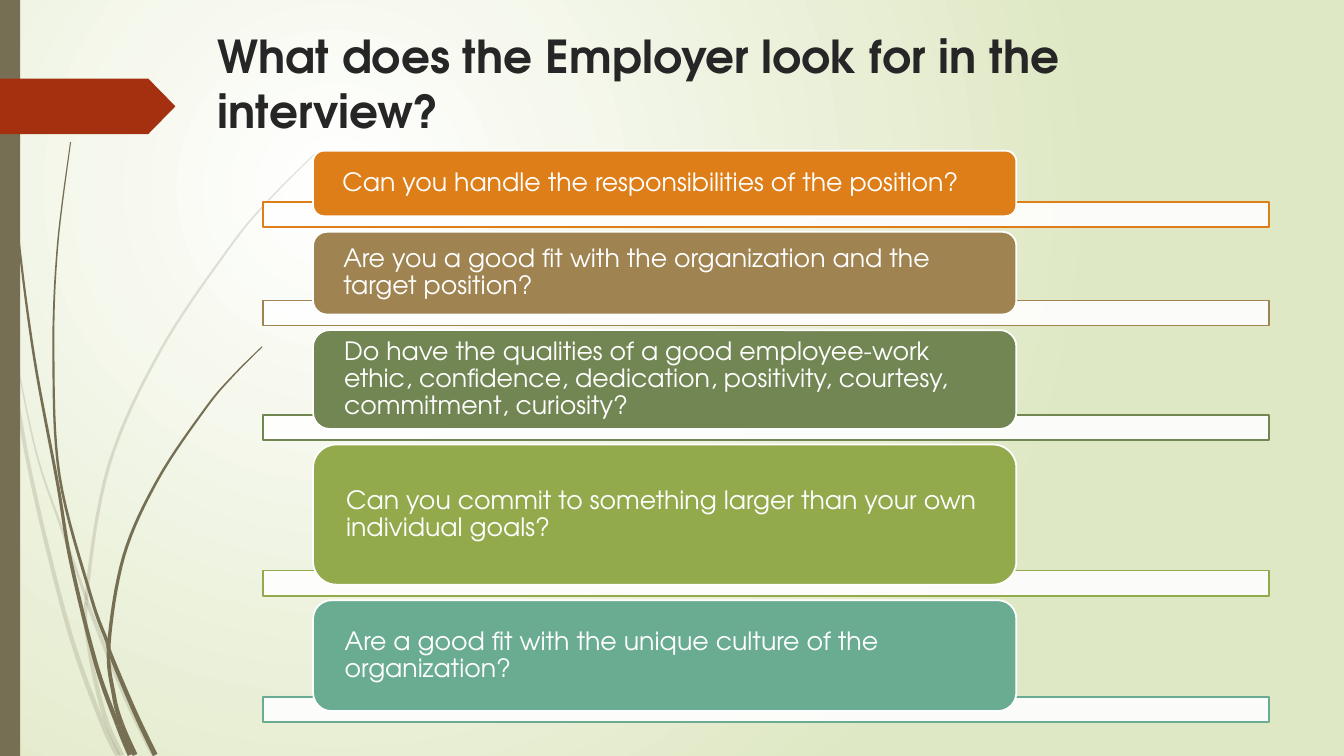
from dataclasses import dataclass
from math import hypot

from lxml import etree
from pptx import Presentation
from pptx.dml.fill import FillFormat
from pptx.dml.color import RGBColor
from pptx.enum.shapes import MSO_SHAPE
from pptx.enum.text import MSO_ANCHOR, MSO_AUTO_SIZE, PP_ALIGN
from pptx.oxml.ns import qn
from pptx.shapes.autoshape import Shape
from pptx.slide import Slide
from pptx.text.text import TextFrame
from pptx.util import Inches, Pt

RECTANGLE = MSO_SHAPE.RECTANGLE
ROUNDED = MSO_SHAPE.ROUNDED_RECTANGLE
ARROW_TAG = MSO_SHAPE.PENTAGON
TOP, MIDDLE = MSO_ANCHOR.TOP, MSO_ANCHOR.MIDDLE
LEFT = PP_ALIGN.LEFT
NO_AUTOFIT = MSO_AUTO_SIZE.NONE

COLUMNS, ROWS = 1333, 750
CELL = Inches(0.01)
FONT = "TeX Gyre Adventor"
WHITE, INK, BARK, RUST, MEADOW = "FFFFFF", "262626", "766F54", "A53010", "DFE8C4"

CARDS_TOP, CARD_GAP = 149.5, 15.5
CARD_LEFT, CARD_WIDTH = 310.5, 697.5
STRIP_LEFT, STRIP_WIDTH, STRIP_HEIGHT = 261, 997.5, 25
STRIP_OVERLAP = 14
CURVE_STEPS = 8


@dataclass(frozen=True)
class Question:
    wording: str
    color: str
    rows: int


@dataclass(frozen=True)
class Stem:
    spine: tuple[tuple[float, float], ...]
    joints: tuple[int, ...]
    tip: float
    base: float
    opacity: int


QUESTIONS = (
    Question("Can you handle the responsibilities of the position?", "DE7E18", 65),
    Question("Are you a good fit with the organization and the target position?", "9F8351", 82),
    Question("Do have the qualities of a good employee-work ethic, confidence, dedication, "
             "positivity, courtesy, commitment, curiosity?", "728653", 98),
    Question("Can you commit to something larger than your own individual goals?", "92AA4C", 139),
    Question("Are a good fit with the unique culture of the organization?", "6AAC91", 110),
)

STEMS = (
    Stem(((2, 285), (10, 349), (30, 469), (67, 620), (100, 714), (117, 750)),
         (1, 4), 3, 5, 20),
    Stem(((14, 345), (36, 449), (60, 521), (85, 592), (89, 604), (125, 693), (153, 750)),
         (3, 4), 1, 5, 20),
    Stem(((312, 153), (268, 197), (228, 245), (159, 348), (108, 462), (86, 590),
          (89, 646), (104, 711), (121, 750)), (5, 7), 1, 5, 20),
    Stem(((4, 0), (7, 110), (18, 233), (34, 355), (57, 479), (70, 556), (95, 658),
          (117, 720), (129, 749)), (4, 7), 1, 5, 100),
    Stem(((70, 141), (57, 245), (53, 349), (59, 472), (90, 591), (106, 636),
          (110, 650), (134, 707), (154, 749)), (3, 5, 6), 1, 5, 100),
    Stem(((260, 344), (231, 373), (204, 405), (157, 475), (123, 551), (108, 640),
          (113, 690), (121, 719), (134, 749)), (5, 7), 1, 5, 100),
)


def paint(fill: FillFormat, color: str, opacity: int = 100) -> None:
    fill.solid()
    fill.fore_color.rgb = RGBColor.from_string(color)
    if opacity < 100:
        tint = fill._xPr.find(".//" + qn("a:srgbClr"))
        etree.SubElement(tint, qn("a:alpha"), val=str(opacity * 1000))


def paint_background(slide: Slide) -> None:
    fill = slide.background.fill
    fill.gradient()
    for stop, color, position in zip(fill.gradient_stops, (WHITE, MEADOW), (0, 1)):
        stop.color.rgb = RGBColor.from_string(color)
        stop.position = position
    gradient = slide.element.find(".//" + qn("a:gradFill"))
    gradient.remove(gradient.find(qn("a:lin")))
    glow = etree.SubElement(gradient, qn("a:path"), {"path": "circle"})
    etree.SubElement(glow, qn("a:fillToRect"), l="50000", t="50000", r="100000", b="100000")


def add_block(slide: Slide, kind: MSO_SHAPE, left: float, top: float, width: float,
              height: float, color: str, opacity: int = 100, border: str = "") -> Shape:
    block = slide.shapes.add_shape(kind, *(round(n * CELL) for n in (left, top, width, height)))
    block.shadow.inherit = False
    paint(block.fill, color, opacity)
    if border:
        paint(block.line.fill, border)
        block.line.width = Pt(1.25)
    else:
        block.line.fill.background()
    return block


def write(frame: TextFrame, wording: str, size: float, color: str, bold: bool = False) -> None:
    frame.word_wrap = True
    frame.auto_size = NO_AUTOFIT
    paragraph = frame.paragraphs[0]
    paragraph.alignment = LEFT
    run = paragraph.add_run()
    run.text = wording
    run.font.name, run.font.size, run.font.bold = FONT, Pt(size), bold
    paint(run.font.fill, color)


def smooth_curve(spine: tuple[tuple[float, float], ...]) -> list[tuple[float, float]]:
    knots = (spine[0], *spine, spine[-1])
    curve = []
    for a, b, c, d in zip(knots, knots[1:], knots[2:], knots[3:]):
        for step in range(CURVE_STEPS):
            t = step / CURVE_STEPS
            curve.append(tuple(
                q + t * ((r - p) + t * ((2 * p - 5 * q + 4 * r - s)
                                        + t * (3 * q - p - 3 * r + s))) / 2
                for p, q, r, s in zip(a, b, c, d)))
    return [*curve, spine[-1]]


def add_stem(slide: Slide, stem: Stem) -> None:
    curve = smooth_curve(stem.spine)
    last = len(curve) - 1
    right_edge, left_edge = [], []
    for i, (x, y) in enumerate(curve):
        (x0, y0), (x1, y1) = curve[max(i - 1, 0)], curve[min(i + 1, last)]
        half = (stem.tip + (stem.base - stem.tip) * i / last) / 2 / hypot(x1 - x0, y1 - y0)
        for edge, side in ((right_edge, half), (left_edge, -half)):
            row = min(max(y - side * (x1 - x0), 0), ROWS)
            edge.append((round((x + side * (y1 - y0)) * CELL), round(row * CELL)))
    cuts = [0, *(joint * CURVE_STEPS for joint in stem.joints), last]
    for first, end in zip(cuts, cuts[1:]):
        start, *rest = right_edge[first:end + 1] + left_edge[first:end + 1][::-1]
        builder = slide.shapes.build_freeform(*start)
        builder.add_line_segments(rest, close=True)
        blade = builder.convert_to_shape()
        blade.shadow.inherit = False
        paint(blade.fill, BARK, stem.opacity)
        blade.line.fill.background()


def add_title(slide: Slide) -> None:
    title = slide.shapes.title
    title.left, title.top, title.width, title.height = (n * CELL for n in (206, 23, 1052, 79))
    title.text_frame.vertical_anchor = TOP
    write(title.text_frame, "What does the Employer look for in the interview?", 32.4, INK, True)


def add_question(slide: Slide, question: Question, top: float) -> None:
    add_block(slide, RECTANGLE, STRIP_LEFT, top + question.rows - STRIP_OVERLAP,
              STRIP_WIDTH, STRIP_HEIGHT, WHITE, 90, question.color)
    card = add_block(slide, ROUNDED, CARD_LEFT, top, CARD_WIDTH, question.rows,
                     question.color, border=WHITE)
    frame = card.text_frame
    frame.margin_left = frame.margin_right = 26 * CELL
    frame.margin_top = frame.margin_bottom = 0
    frame.vertical_anchor = MIDDLE
    write(frame, question.wording, 18, WHITE)
    frame.paragraphs[0].line_spacing = 0.9


def main() -> None:
    deck = Presentation()
    deck.slide_width, deck.slide_height = COLUMNS * CELL, ROWS * CELL
    slide = deck.slides.add_slide(deck.slide_layouts.get_by_name("Title Only"))
    paint_background(slide)
    for stem in STEMS:
        add_stem(slide, stem)
    add_block(slide, RECTANGLE, 0, 0, 20, ROWS, BARK)
    banner = add_block(slide, ARROW_TAG, 0, 78, 174, 55, RUST)
    banner.adjustments[0] = 0.49
    add_title(slide)
    top = CARDS_TOP
    for question in QUESTIONS:
        add_question(slide, question, top)
        top += question.rows + CARD_GAP
    deck.save("out.pptx")


if __name__ == "__main__":
    main()
